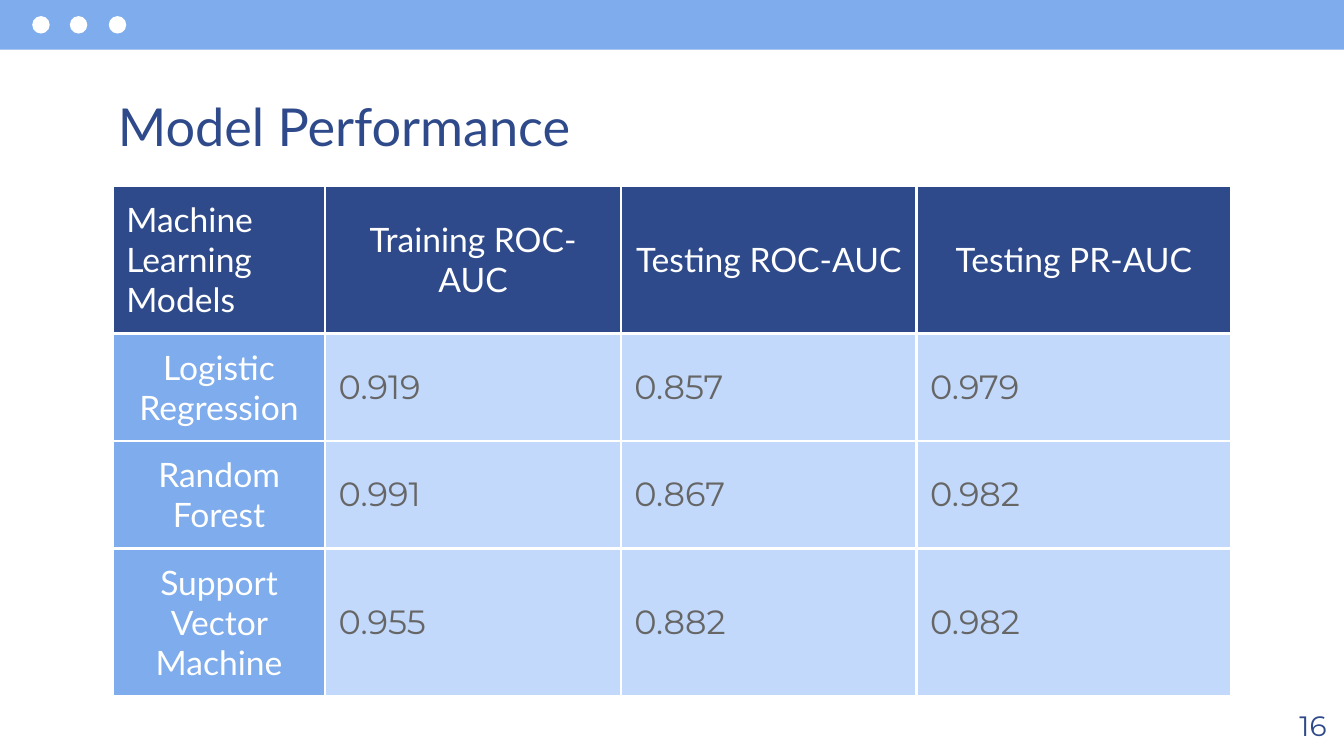
from dataclasses import dataclass

from pptx import Presentation
from pptx.dml.color import RGBColor
from pptx.enum.shapes import MSO_SHAPE
from pptx.enum.text import MSO_ANCHOR, PP_ALIGN
from pptx.oxml.ns import qn
from pptx.util import Inches, Pt
from lxml import etree

RECTANGLE, OVAL = MSO_SHAPE.RECTANGLE, MSO_SHAPE.OVAL
TOP, MIDDLE = MSO_ANCHOR.TOP, MSO_ANCHOR.MIDDLE
LEFT, CENTER = PP_ALIGN.LEFT, PP_ALIGN.CENTER


@dataclass(frozen=True)
class Theme:
    navy: str = "2F4A8A"
    blue: str = "7EACEC"
    pale: str = "C3D9FB"
    white: str = "FFFFFF"
    gray: str = "666666"
    heading_font: str = "Lato"
    number_font: str = "Montserrat"
    title_size: float = 28
    table_size: float = 18
    page_size: float = 15
    border_width: float = 1.5
    inset: float = 0.1


HEADER = ["Machine Learning Models", "Training ROC-AUC", "Testing ROC-AUC", "Testing PR-AUC"]
SCORES = [
    ["Logistic Regression", "0.919", "0.857", "0.979"],
    ["Random Forest", "0.991", "0.867", "0.982"],
    ["Support Vector Machine", "0.955", "0.882", "0.982"],
]
COLUMN_WIDTHS = [1.58, 2.2, 2.2, 2.34]
ROW_HEIGHT = 0.7
DOT_LEFTS = [0.24, 0.52, 0.81]


def write_text(frame, text, *, font, size, color, align=LEFT):
    paragraph = frame.paragraphs[0]
    paragraph.alignment = align
    run = paragraph.add_run()
    run.text = text
    run.font.name = font
    run.font.size = Pt(size)
    run.font.color.rgb = RGBColor.from_string(color)


def set_margins(target, inset):
    target.margin_left = target.margin_right = Inches(inset)
    target.margin_top = target.margin_bottom = Inches(inset)


def set_borders(cell, color, width):
    properties = cell._tc.get_or_add_tcPr()
    for index, side in enumerate(("a:lnL", "a:lnR", "a:lnT", "a:lnB")):
        line = etree.Element(qn(side), w=str(Pt(width)))
        fill = etree.SubElement(line, qn("a:solidFill"))
        etree.SubElement(fill, qn("a:srgbClr"), val=color)
        properties.insert(index, line)


class SlideBuilder:
    def __init__(self, slide, theme):
        self.slide = slide
        self.theme = theme

    def shape(self, kind, left, top, width, height, color):
        shape = self.slide.shapes.add_shape(
            kind, Inches(left), Inches(top), Inches(width), Inches(height))
        shape.shadow.inherit = False
        shape.fill.solid()
        shape.fill.fore_color.rgb = RGBColor.from_string(color)
        shape.line.fill.background()

    def text(self, left, top, width, height, text, **text_format):
        box = self.slide.shapes.add_textbox(
            Inches(left), Inches(top), Inches(width), Inches(height))
        frame = box.text_frame
        frame.word_wrap = True
        frame.vertical_anchor = TOP
        set_margins(frame, self.theme.inset)
        write_text(frame, text, **text_format)

    def table(self, left, top, rows):
        frame = self.slide.shapes.add_table(
            len(rows), len(COLUMN_WIDTHS), Inches(left), Inches(top),
            Inches(sum(COLUMN_WIDTHS)), Inches(ROW_HEIGHT * len(rows)))
        table = frame.table
        table.first_row = table.horz_banding = False
        for column, width in zip(table.columns, COLUMN_WIDTHS):
            column.width = Inches(width)
        for row_index, values in enumerate(rows):
            table.rows[row_index].height = Inches(ROW_HEIGHT)
            for column_index, value in enumerate(values):
                self.cell(table.cell(row_index, column_index), value,
                          row_index == 0, column_index == 0)

    def cell(self, cell, value, in_header, in_first_column):
        theme = self.theme
        is_corner = in_header and in_first_column
        is_score = not in_header and not in_first_column
        fill = theme.navy if in_header else theme.blue if in_first_column else theme.pale
        cell.fill.solid()
        cell.fill.fore_color.rgb = RGBColor.from_string(fill)
        set_borders(cell, theme.white, theme.border_width)
        set_margins(cell, theme.inset)
        cell.vertical_anchor = TOP if is_corner else MIDDLE
        write_text(cell.text_frame, value, size=theme.table_size,
                   font=theme.number_font if is_score else theme.heading_font,
                   color=theme.gray if is_score else theme.white,
                   align=LEFT if is_corner or is_score else CENTER)


def main():
    presentation = Presentation()
    presentation.slide_width = Inches(10)
    presentation.slide_height = presentation.slide_width * 9 // 16
    slide = presentation.slides.add_slide(presentation.slide_layouts[6])
    theme = Theme()
    builder = SlideBuilder(slide, theme)

    builder.shape(RECTANGLE, 0, 0, 10, 0.37, theme.blue)
    for left in DOT_LEFTS:
        builder.shape(OVAL, left, 0.12, 0.13, 0.13, theme.white)

    builder.text(0.78, 0.6, 8.44, 0.51, "Model Performance",
                 font=theme.heading_font, size=theme.title_size, color=theme.navy)
    builder.table(0.84, 1.38, [HEADER, *SCORES])
    builder.text(9.57, 5.17, 0.48, 0.45, "16",
                 font=theme.number_font, size=theme.page_size, color=theme.navy)

    presentation.save("out.pptx")


if __name__ == "__main__":
    main()
